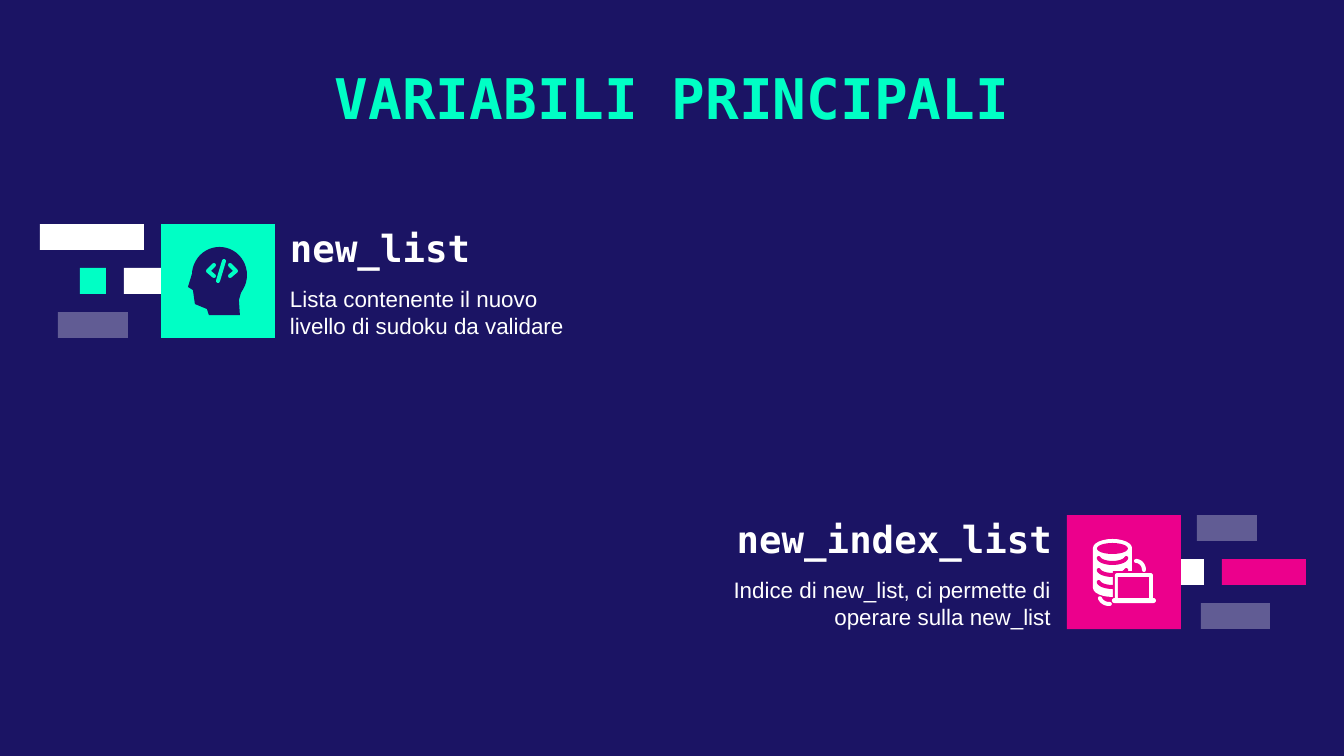
from math import cos, radians, sin
from lxml.etree import SubElement
from pptx import Presentation
from pptx.dml.color import RGBColor
from pptx.enum.shapes import MSO_SHAPE as Kind
from pptx.enum.text import MSO_ANCHOR as Anchor, MSO_AUTO_SIZE as Fit, PP_ALIGN as Align
from pptx.oxml.ns import qn
from pptx.util import Pt

PX = 6804
NAVY, MINT, PINK, WHITE = "1B1464", "00FFC5", "EC008C", "FFFFFF"
MONO, SANS = "DejaVu Sans Mono", "Arial"
LEFT, MID, RIGHT = Align.LEFT, Align.CENTER, Align.RIGHT
TOP, CORE, BASE = Anchor.TOP, Anchor.MIDDLE, Anchor.BOTTOM
RECT, OVAL, ROUND = Kind.RECTANGLE, Kind.OVAL, Kind.ROUNDED_RECTANGLE
PAD, TILE, BAR, STEP, PEN = 13, 114, 26, 44, 4

TEXTS = [
    ("VARIABILI PRINCIPALI", (188, 48, 968, 98), MID, CORE, (PAD, PAD), MONO, 30, MINT),
    ("new_list", (277, 218, 435, 52), LEFT, BASE, (0, 0), MONO, 20, WHITE),
    ("Lista contenente il nuovo livello di sudoku da validare",
     (277, 285, 331, 60), LEFT, TOP, (0, PAD), SANS, 12, WHITE),
    ("new_index_list", (712, 506, 353, 55), RIGHT, BASE, (0, 0), MONO, 20, WHITE),
    ("Indice di new_list, ci permette di operare sulla new_list",
     (691, 576, 373, 60), RIGHT, TOP, (0, PAD), SANS, 12, WHITE),
]

LEFT_BARS = [(0, 40, 104, WHITE, 100), (1, 80, 26, MINT, 100),
             (1, 124, 47, WHITE, 100), (2, 58, 70, WHITE, 31)]
RIGHT_BARS = [(0, 1197, 60, WHITE, 31), (1, 1172, 32, WHITE, 100),
              (1, 1222, 84, PINK, 100), (2, 1201, 69, WHITE, 31)]

SKULL = (31, 23, 55, 56)
FACE = [(31, 50), (27, 63), (32, 66), (34, 80), (46, 85), (48, 91), (79, 91), (78, 76), (85, 52)]


def rgb(tone):
    return RGBColor.from_string(tone)


def paint(shape, tone, alpha=100):
    shape.shadow.inherit = False
    shape.line.fill.background()
    shape.fill.solid()
    shape.fill.fore_color.rgb = rgb(tone)
    if alpha < 100:
        node = next(shape.fill._xPr.iter(qn("a:srgbClr")))
        SubElement(node, qn("a:alpha")).set("val", str(alpha * 1000))


def place(shape, box):
    shape.left, shape.top, shape.width, shape.height = (n * PX for n in box)


def block(kind, box, tone, alpha=100):
    shape = slide.shapes.add_shape(kind, *(n * PX for n in box))
    paint(shape, tone, alpha)
    return shape


def outline(points, close):
    first, *rest = [(x * PX, y * PX) for x, y in points]
    pen = slide.shapes.build_freeform(*first, scale=1)
    pen.add_line_segments(rest, close=close)
    return pen.convert_to_shape()


def stroke(points, tone):
    shape = outline(points, False)
    shape.shadow.inherit = False
    shape.fill.background()
    shape.line.width = PEN * PX
    shape.line.color.rgb = rgb(tone)
    shape.line._get_or_add_ln().set("cap", "rnd")


def arc(x, y, wide, high, start, end, count=16):
    turns = [radians(start + (end - start) * i / count) for i in range(count + 1)]
    return [(x + wide * cos(t), y + high * sin(t)) for t in turns]


def shift(points, x, y):
    return [(x + px, y + py) for px, py in points]


def draw_head(x, y, ink, tone):
    left, top, *size = SKULL
    block(OVAL, (x + left, y + top, *size), ink)
    paint(outline(shift(FACE, x, y), True), ink)
    for side in (-1, 1):
        bracket = [(61 + side * reach, level) for reach, level in ((8, 41), (14, 47), (8, 52))]
        stroke(shift(bracket, x, y), tone)
    stroke(shift([(63, 37), (57, 57)], x, y), tone)


def draw_data(x, y, ink, tone):
    def part(kind, left, top, wide, high, shade):
        return block(kind, (x + left, y + top, wide, high), shade)

    for top in (24, 64):
        part(OVAL, 26, top, 39, 18, ink)
    part(RECT, 26, 33, 39, 40, ink)
    part(OVAL, 30, 28, 31, 11, tone)
    for tier in range(3):
        stroke(arc(x + 45.5, y + 42 + 12 * tier, 14, 6, 10, 170), tone)

    part(RECT, 46, 56, 44, 34, tone)
    lid = part(ROUND, 48, 58, 38, 28, ink)
    lid.adjustments[0] = 0.08
    part(RECT, 51, 62, 31, 21, tone)
    foot = part(ROUND, 45, 83, 44, 5, ink)
    foot.adjustments[0] = 0.5
    stroke(arc(x + 69, y + 55, 8, 9, -90, 0), ink)
    stroke(arc(x + 42, y + 79, 10, 10, 85, 155), ink)


def write(shape, text, box, align, anchor, pads, face, size, tone):
    place(shape, box)
    frame = shape.text_frame
    frame.text = text
    frame.word_wrap = True
    frame.auto_size = Fit.NONE
    frame.vertical_anchor = anchor
    frame.margin_left = frame.margin_right = PAD * PX
    frame.margin_top, frame.margin_bottom = (n * PX for n in pads)
    para = frame.paragraphs[0]
    para.alignment = align
    para.space_before = Pt(0)
    para.line_spacing = 1.0
    props = para._p.get_or_add_pPr()
    props.set("marL", "0")
    props.set("indent", "0")
    SubElement(props, qn("a:buNone"))
    font = para.font
    font.name, font.size, font.bold = face, Pt(size), face == MONO
    font.color.rgb = rgb(tone)


GROUPS = [
    (161, 224, MINT, NAVY, draw_head, LEFT_BARS),
    (1067, 515, PINK, WHITE, draw_data, RIGHT_BARS),
]

deck = Presentation()
deck.slide_width, deck.slide_height = 1344 * PX, 756 * PX
slide = deck.slides.add_slide(deck.slide_layouts[4])
back = slide.background.fill
back.solid()
back.fore_color.rgb = rgb(NAVY)

for i, item in enumerate(TEXTS):
    write(slide.placeholders[i], *item)

for x, y, tone, ink, draw, bars in GROUPS:
    for row, left, width, shade, alpha in bars:
        block(RECT, (left, y + row * STEP, width, BAR), shade, alpha)
    block(RECT, (x, y, TILE, TILE), tone)
    draw(x, y, ink, tone)

deck.save("out.pptx")
